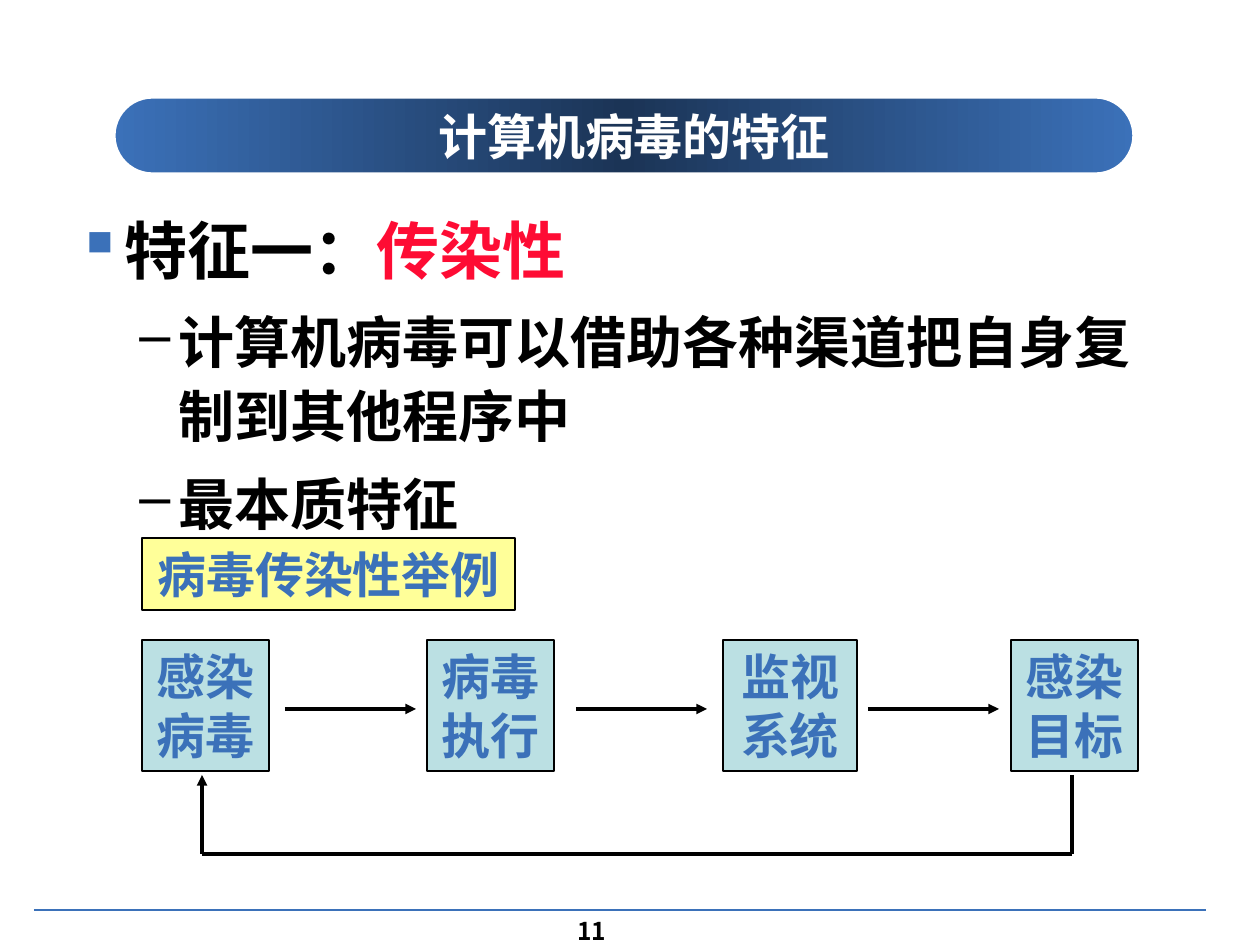
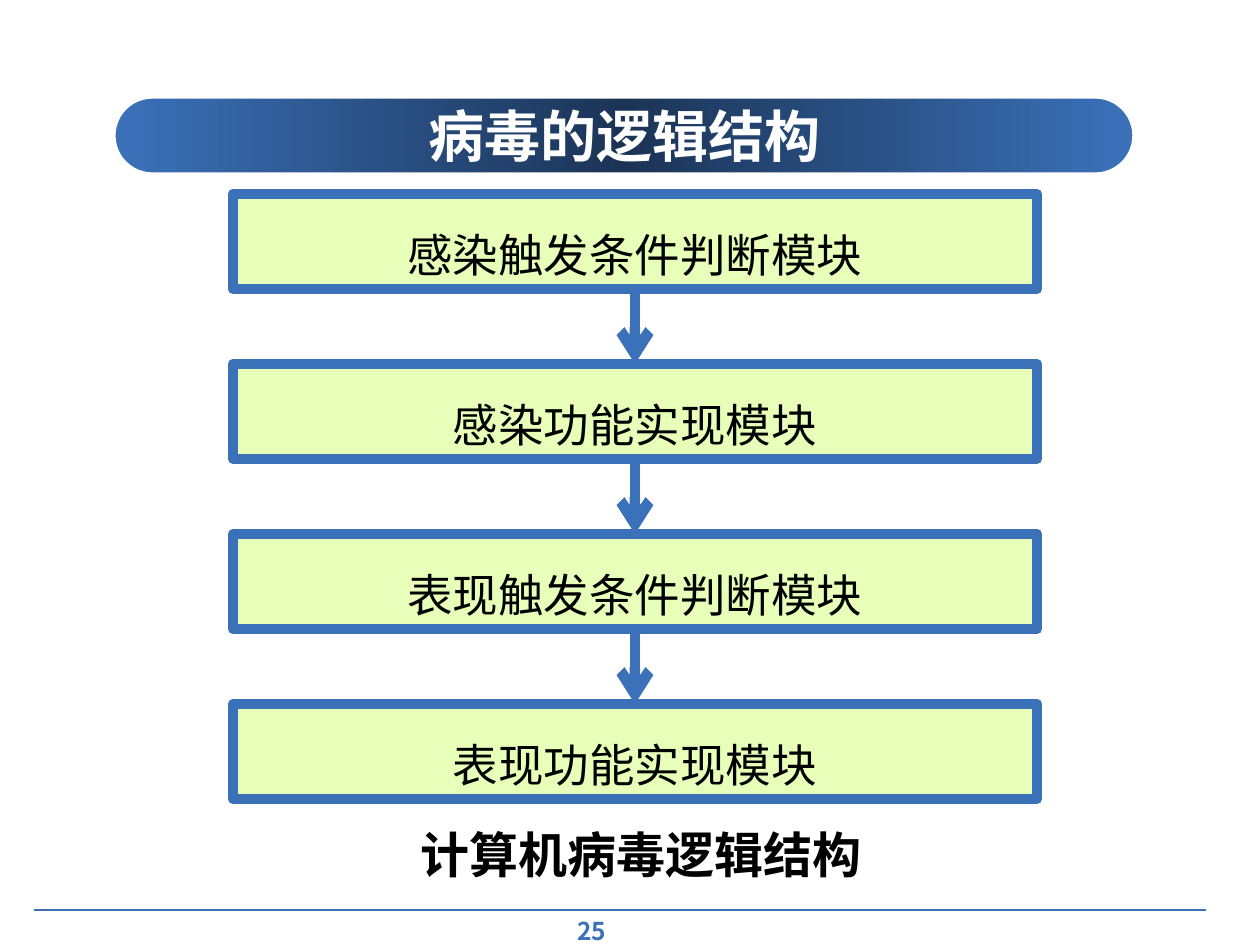
from dataclasses import dataclass

from copy import deepcopy
from lxml import etree
from pptx import Presentation
from pptx import util as u
from pptx.dml.color import RGBColor
from pptx.enum import shapes, text
from pptx.oxml import ns

PX_PER_INCH = 126
TITLE_ONLY = 5


@dataclass(frozen=True)
class Theme:
    """Colours, fonts and type sizes shared by the slides."""
    blue: str = "3B71B9"
    navy: str = "1B3456"
    black: str = "000000"
    white: str = "FFFFFF"
    red: str = "FE0C34"
    aqua: str = "BBE0E3"
    yellow: str = "FFFF99"
    lime: str = "E7FFB8"
    sans: str = "Noto Sans CJK SC"
    serif: str = "Times New Roman"
    heading: str = "DejaVu Sans"
    lead: int = 36
    point: int = 32
    label: int = 28
    module: int = 26
    number: int = 14


THEME = Theme()


def px(length):
    """Turn px into EMU."""
    return u.Emu(round(length * 914400 / PX_PER_INCH))


def colour(code):
    """Turn a hex code into a colour."""
    return RGBColor.from_string(code)


def add_element(parent, tag, **attributes):
    """Append a drawing element to its parent."""
    return etree.SubElement(parent, ns.qn(tag), attributes)


def write(para, words, *, size, font=THEME.sans, ink=THEME.black, bold=True):
    """Add a formatted span to a paragraph."""
    span = para.add_run()
    span.text = words
    span.font.size = u.Pt(size)
    span.font.name = font
    span.font.bold = bold
    span.font.color.rgb = colour(ink)
    add_element(span.font._element, "a:ea", typeface=THEME.heading)


def write_centred(box, words, anchor=text.MSO_ANCHOR.MIDDLE, spacing=1.0, **style):
    """Put one centred paragraph in a box."""
    frame = box.text_frame
    frame.word_wrap = True
    frame.auto_size = text.MSO_AUTO_SIZE.NONE
    frame.vertical_anchor = anchor
    para = frame.paragraphs[0]
    para.alignment = text.PP_ALIGN.CENTER
    para.line_spacing = spacing
    write(para, words, **style)


def set_bullet(para, mark, ink, margin, hanging, level=0):
    """Give a paragraph a coloured bullet and a hanging indent."""
    para.level = level
    properties = para._p.get_or_add_pPr()
    properties.set("marL", str(px(margin)))
    properties.set("indent", str(-px(hanging)))
    bullet_colour = add_element(properties, "a:buClr")
    add_element(bullet_colour, "a:srgbClr", val=ink)
    add_element(properties, "a:buChar", char=mark)


def add_text_box(slide, left, top, width, height):
    """Add an empty text box that wraps."""
    box = slide.shapes.add_textbox(px(left), px(top), px(width), px(height))
    box.text_frame.word_wrap = True
    return box


def add_box(slide, left, top, width, height, fill, edge=THEME.black, weight=0.75,
            kind=shapes.MSO_SHAPE.RECTANGLE):
    """Add a filled, outlined shape."""
    box = slide.shapes.add_shape(kind, px(left), px(top), px(width), px(height))
    box.shadow.inherit = False
    box.fill.solid()
    box.fill.fore_color.rgb = colour(fill)
    box.line.color.rgb = colour(edge)
    box.line.width = u.Pt(weight)
    return box


def add_line(slide, start, end, ink=THEME.black, weight=2, head=None):
    """Add a straight line, with an arrowhead at its end if one is named."""
    line = slide.shapes.add_connector(
        shapes.MSO_CONNECTOR.STRAIGHT, *map(px, (*start, *end)))
    line.line.color.rgb = colour(ink)
    line.line.width = u.Pt(weight)
    if head:
        add_element(line.line._get_or_add_ln(), "a:tailEnd", type=head)
    add_element(line._element.spPr, "a:effectLst")
    return line


def add_band(slide):
    """Add the rounded gradient band behind the title."""
    band = add_box(slide, 113, 96, 1022, 79, THEME.blue, THEME.white, 3,
                   shapes.MSO_SHAPE.ROUNDED_RECTANGLE)
    band.adjustments[0] = 0.5
    band.fill.gradient()
    band.fill.gradient_angle = 0
    stop_list = band._element.spPr.find(".//" + ns.qn("a:gsLst"))
    stop_list.append(deepcopy(stop_list[-1]))
    looks = [(0, THEME.blue), (0.5, THEME.navy), (1, THEME.blue)]
    for stop, (position, ink) in zip(band.fill.gradient_stops, looks):
        stop.position = position
        stop.color.rgb = colour(ink)
    return band


def add_slide(deck, title, title_size, number, number_ink):
    """Add a slide with its title band, footer line and page number."""
    slide = deck.slides.add_slide(deck.slide_layouts[TITLE_ONLY])
    heading = slide.shapes.title
    heading.left, heading.top = px(123), px(106)
    heading.width, heading.height = px(1022), px(59)
    write_centred(heading, title, size=title_size, font=THEME.heading, ink=THEME.white)
    heading._element.addprevious(add_band(slide)._element)
    add_line(slide, (34, 910), (1206, 910), THEME.blue, 0.75)
    page = add_text_box(slide, 461, 910, 262, 35)
    write_centred(page, number, text.MSO_ANCHOR.TOP, size=THEME.number, ink=number_ink)
    return slide


def add_points(slide):
    """Add the lead line and its two points."""
    frame = add_text_box(slide, 64, 175, 1134, 704).text_frame
    lead = frame.paragraphs[0]
    lead.line_spacing = 1.4
    set_bullet(lead, "▪", THEME.blue, 48, 48)
    write(lead, "特征一：", size=THEME.lead, font=THEME.serif)
    write(lead, "传染性", size=THEME.lead, font=THEME.serif, ink=THEME.red)
    for words in ("计算机病毒可以借助各种渠道把自身复制到其他程序中", "最本质特征"):
        point = frame.add_paragraph()
        point.line_spacing = 1.1
        point.space_before = u.Pt(8)
        set_bullet(point, "–", THEME.black, 102, 39, level=1)
        write(point, words, size=THEME.point)


def add_infection_cycle(slide):
    """Add the example label, four steps and the arrows that loop through them."""
    label = {"size": THEME.label, "font": THEME.serif, "ink": THEME.blue}
    steps = [("感染病毒", 142, 127), ("病毒执行", 427, 127),
             ("监视系统", 723, 134), ("感染目标", 1011, 127)]
    for words, left, width in steps:
        write_centred(add_box(slide, left, 640, width, 131, THEME.aqua), words, **label)
    for left in (285, 576, 868):
        add_line(slide, (left, 709), (left + 131, 709), head="triangle")
    corners = [(1072, 775), (1072, 854), (202, 854), (202, 775)]
    for start, end, head in zip(corners, corners[1:], (None, None, "triangle")):
        add_line(slide, start, end, head=head)
    write_centred(add_box(slide, 142, 538, 373, 72, THEME.yellow), "病毒传染性举例", **label)


def add_module_chain(slide):
    """Add the stacked modules, joined by arrows, and the caption."""
    modules = ("感染触发条件判断模块", "感染功能实现模块",
               "表现触发条件判断模块", "表现功能实现模块")
    boxes = []
    for row, words in enumerate(modules):
        box = add_box(slide, 233, 194 + 170 * row, 804, 95, THEME.lime, THEME.blue, 6)
        write_centred(box, words, text.MSO_ANCHOR.TOP, 1.5, size=THEME.module, bold=False)
        boxes.append(box)
    for upper, lower in zip(boxes, boxes[1:]):
        arrow = add_line(slide, (0, 0), (0, 0), THEME.blue, 6, "arrow")
        arrow.begin_connect(upper, 2)
        arrow.end_connect(lower, 0)
    caption = add_text_box(slide, 353, 818, 576, 72)
    write_centred(caption, "计算机病毒逻辑结构", size=THEME.label)


def main():
    """Build and save the deck."""
    deck = Presentation()
    deck.slide_width, deck.slide_height = px(1260), px(945)
    traits = add_slide(deck, "计算机病毒的特征", THEME.label, "11", THEME.black)
    add_points(traits)
    add_infection_cycle(traits)
    structure = add_slide(deck, "病毒的逻辑结构 ", THEME.point, "25", THEME.blue)
    add_module_chain(structure)
    deck.save("out.pptx")


if __name__ == "__main__":
    main()
